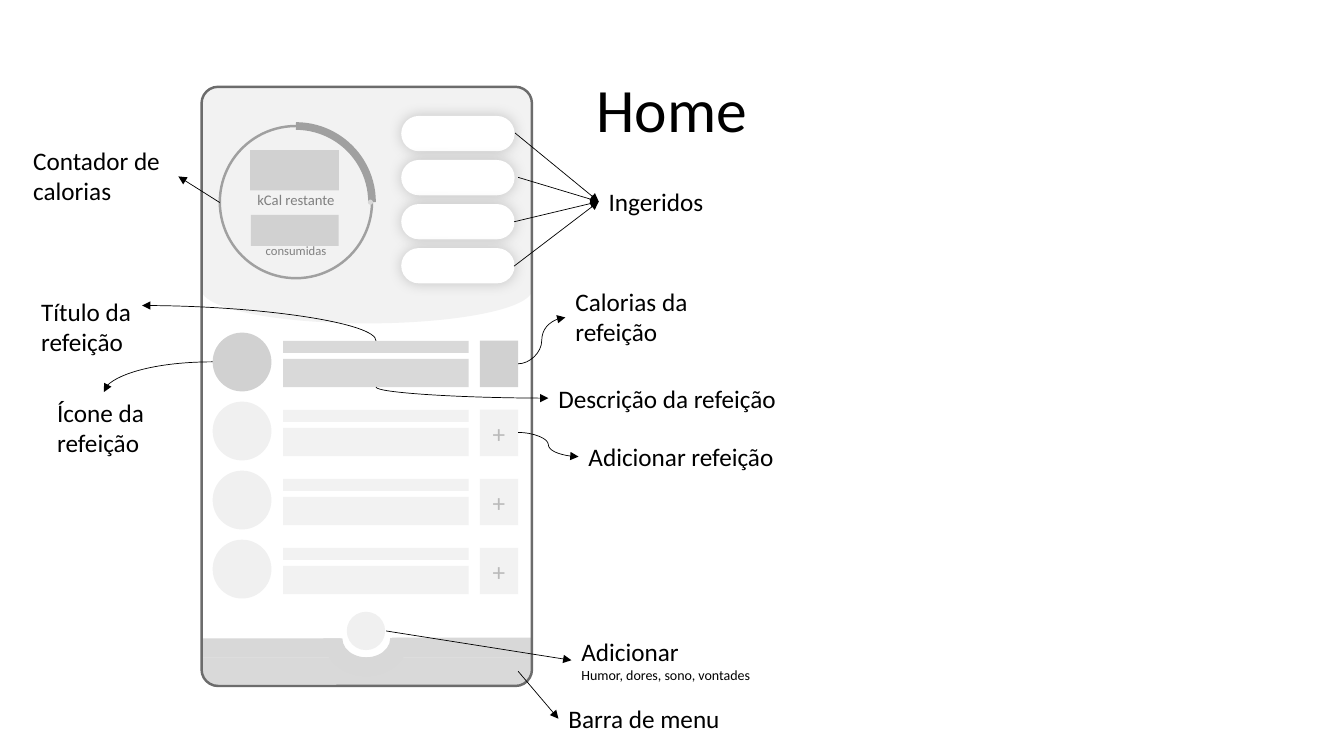
from dataclasses import dataclass

from lxml.etree import SubElement
from pptx import Presentation
from pptx.dml.color import RGBColor
from pptx.enum.shapes import MSO_CONNECTOR as Link, MSO_SHAPE as Form
from pptx.enum.text import MSO_ANCHOR as Anchor, PP_ALIGN as Align
from pptx.oxml.ns import qn
from pptx.util import Pt


@dataclass(frozen=True)
class Theme:
    font: str = "Calibri"
    ink: str = "000000"
    white: str = "FFFFFF"
    frame: str = "6C6C6C"
    ring: str = "A0A0A0"
    caption: str = "808080"
    plus: str = "BABABA"
    strong: str = "D1D1D1"
    bar: str = "D9D9D9"
    menu: str = "D8D8D8"
    icon: str = "F0F0F0"
    pale: str = "F2F2F2"
    title_size: float = 44
    label_size: float = 18
    note_size: float = 10
    remaining_size: float = 10.5
    consumed_size: float = 9


@dataclass(frozen=True)
class Box:
    x: float
    y: float
    w: float
    h: float

    def inner(self, x, y, w, h):
        return Box(self.x + x, self.y + y, w, h)

    def emu(self):
        return [Pt(v) for v in (self.x, self.y, self.w, self.h)]


THEME = Theme()
FLUSH = dict(margin_left=0, margin_right=0, margin_top=0, margin_bottom=0)


def apply(target, values):
    for name, value in values.items():
        setattr(target, name, value)


def write(frame, lines, color, align=Align.LEFT, **frame_format):
    """Fill a text frame with (text, size) lines parted by line breaks."""
    apply(frame, dict(word_wrap=True) | frame_format)
    paragraph = frame.paragraphs[0]
    paragraph.alignment = align
    for number, (text, size) in enumerate(lines):
        if number:
            paragraph.add_line_break()
        run = paragraph.add_run()
        run.text = text
        apply(run.font, dict(name=THEME.font, size=Pt(size)))
        run.font.color.rgb = RGBColor.from_string(color)
    return paragraph


def add_form(slide, form, box, fill=None, line=None, width=1.75, turn=0, adjust=()):
    shape = slide.shapes.add_shape(form, *box.emu())
    shape.shadow.inherit = False
    shape.rotation = turn
    for index, value in enumerate(adjust):
        shape.adjustments[index] = value
    if fill:
        shape.fill.solid()
        shape.fill.fore_color.rgb = RGBColor.from_string(fill)
    else:
        shape.fill.background()
    if line:
        shape.line.color.rgb = RGBColor.from_string(line)
        shape.line.width = Pt(width)
    else:
        shape.line.fill.background()
    return shape


def add_text(slide, box, lines, color, align=Align.LEFT, **frame_format):
    text_box = slide.shapes.add_textbox(*box.emu())
    write(text_box.text_frame, lines, color, align, **frame_format)


def add_arrow(slide, box, start, end, style="straight"):
    """Styles: straight, wave, across (leaves sideways), upright (leaves vertically)."""
    arrow_end = "a:tailEnd"
    if style == "upright":
        start, end, arrow_end = end, start, "a:headEnd"
    kind = Link.STRAIGHT if style == "straight" else Link.CURVE
    ends = [Pt(v) for x, y in (start, end) for v in (box.x + x, box.y + y)]
    arrow = slide.shapes.add_connector(kind, *ends)
    arrow.line.color.rgb = RGBColor.from_string(THEME.ink)
    arrow.line.width = Pt(0.5)
    properties = arrow._element.spPr
    if style in ("across", "upright"):
        properties.find(qn("a:prstGeom")).set("prst", "curvedConnector2")
    SubElement(properties.find(qn("a:ln")), qn(arrow_end), type="triangle")
    SubElement(properties, qn("a:effectLst"))


def add_glow(shape):
    effects = shape._element.spPr.find(qn("a:effectLst"))
    glow = SubElement(effects, qn("a:outerShdw"), blurRad=str(Pt(10)), dist="0",
                      algn="ctr", rotWithShape="0")
    color = SubElement(glow, qn("a:srgbClr"), val=THEME.ink)
    SubElement(color, qn("a:alpha"), val="18000")


def header(slide, box):
    add_form(slide, Form.ROUND_2_SAME_RECTANGLE, box, THEME.pale, adjust=(0.09, 0))
    # Rounded lower edge: a delay shape turned to point down
    add_form(slide, Form.FLOWCHART_DELAY, box.inner(94, 27, 48, box.w), THEME.pale, turn=90)


def calorie_dial(slide, box):
    add_form(slide, Form.OVAL, box, line=THEME.ring)
    captions = [("kCal restante", 46, THEME.remaining_size),
                ("consumidas", 82.6, THEME.consumed_size)]
    for text, top, size in captions:
        add_text(slide, box.inner(0, top, box.w, 13), [(text, size)], THEME.caption,
                 Align.CENTER, vertical_anchor=Anchor.MIDDLE, **FLUSH)
    add_form(slide, Form.ARC, box, line=THEME.ring, width=5.5)
    add_form(slide, Form.RECTANGLE, box.inner(21.6, 17.3, 63.4, 28.8), THEME.strong)
    add_form(slide, Form.RECTANGLE, box.inner(22.3, 63.4, 62.6, 22.3), THEME.strong)
    add_form(slide, Form.OVAL, box.inner(105.8, 52.6, 3.6, 3.6), THEME.menu)


def intake_pills(slide, box, count=4, height=25.2):
    step = (box.h - height) / (count - 1)
    for number in range(count):
        pill = add_form(slide, Form.ROUNDED_RECTANGLE, box.inner(0, number * step, box.w, height),
                        THEME.white, adjust=(0.5,))
        add_glow(pill)


def meal_row(slide, box, filled):
    icon, bar, button = ((THEME.strong, THEME.bar, THEME.strong) if filled
                         else (THEME.icon, THEME.pale, THEME.pale))
    add_form(slide, Form.OVAL, box.inner(0, 0, box.h, box.h), icon)
    for top, height in ((5.8, 8.6), (18.7, 20.2)):
        add_form(slide, Form.RECTANGLE, box.inner(50.4, top, 132.5, height), bar)
    add_button = add_form(slide, Form.RECTANGLE, box.inner(190.8, 5.8, 27.4, 33.1), button)
    if not filled:
        write(add_button.text_frame, [("+", THEME.label_size)], THEME.plus, Align.CENTER,
              vertical_anchor=Anchor.MIDDLE, **FLUSH)


def menu_bar(slide, box):
    add_form(slide, Form.RECTANGLE, box.inner(0, 27, 99.4, 13.7), THEME.menu)
    add_form(slide, Form.RECTANGLE, box.inner(136, 26.5, 99.9, 14.2), THEME.menu)
    add_form(slide, Form.ROUND_2_SAME_RECTANGLE, box.inner(0, 40.5, box.w, 20.5), THEME.bar,
             turn=180, adjust=(0.5, 0))
    # Notch and round add button
    add_form(slide, Form.BLOCK_ARC, box.inner(87, 0, 61.2, 54), THEME.menu,
             turn=180, adjust=(107.52, 0, 0.25))
    add_form(slide, Form.OVAL, box.inner(103.7, 8, 27.4, 27.4), THEME.icon)


def phone(slide, box):
    header(slide, box.inner(0, 0, box.w, 121))
    calorie_dial(slide, box.inner(13, 28, 108.7, 108.7))
    menu_bar(slide, box.inner(0, 367, box.w, 61))
    add_form(slide, Form.ROUNDED_RECTANGLE, box, line=THEME.frame, adjust=(0.05,))
    intake_pills(slide, box.inner(142.6, 20.8, 81, 119.6))
    for number in range(4):
        meal_row(slide, box.inner(7.9, 175.6 + 49.3 * number, 218.2, 42), filled=number == 0)


def callouts(slide, box):
    # Lines of the label, its box, arrow style, arrow starts, arrow end
    labels = [
        (["Ingeridos"], (427.7, 129.6, 82.8, 28.8), "straight",
         [(367.9, 95), (370.1, 126.7), (367.2, 158.4), (367.2, 190.1)], (427.7, 144)),
        (["Barra de menu"], (398.9, 499, 123.8, 28.8), "straight", [(370.1, 479.5)], (398.9, 513.4)),
        (["Adicionar", "Humor, dores, sono, vontades"], (408.2, 450.7, 138.2, 41), "straight",
         [(275.8, 450.7)], (408.2, 471.6)),
        (["Contador de", "calorias"], (16.6, 100.1, 110.2, 51.1), "straight",
         [(157, 144.7)], (127.4, 126)),
        (["Ícone da", "refeição"], (33.8, 280.1, 81.4, 51.1), "across", [(151.9, 258.5)], (74.2, 280.1)),
        (["Título da", "refeição"], (22.3, 208.1, 79.2, 51.1), "upright", [(268.6, 243.4)], (101.5, 218.2)),
        (["Calorias da", "refeição"], (403.9, 200.9, 95.8, 51.1), "wave", [(370.1, 259.9)], (403.9, 226.8)),
        (["Descrição da refeição"], (391.7, 270, 172.1, 28.8), "upright", [(268.6, 276.5)], (391.7, 284.4)),
        (["Adicionar refeição"], (413.3, 311.8, 148.3, 28.8), "wave", [(370.1, 308.9)], (413.3, 326.2)),
    ]
    for lines, place, style, starts, end in labels:
        sized = [(line, THEME.note_size if line.startswith("Humor") else THEME.label_size)
                 for line in lines]
        add_text(slide, box.inner(*place), sized, THEME.ink, margin_right=0)
        for start in starts:
            add_arrow(slide, box, start, end, style)


def title(slide, box):
    heading = slide.shapes.title
    apply(heading, dict(zip(("left", "top", "width", "height"), box.emu())))
    paragraph = write(heading.text_frame, [("Home", THEME.title_size)], THEME.ink, Align.CENTER,
                      vertical_anchor=Anchor.MIDDLE)
    paragraph.line_spacing = 0.9


def main():
    deck = Presentation()
    page = Box(0, 0, 960, 540)
    apply(deck, dict(slide_width=Pt(page.w), slide_height=Pt(page.h)))
    slide = deck.slides.add_slide(deck.slide_layouts[5])
    title(slide, page.inner(413.3, 28, 133.2, 104.4))
    phone(slide, page.inner(144, 62, 236, 428))
    callouts(slide, page)
    deck.save("out.pptx")


if __name__ == "__main__":
    main()
